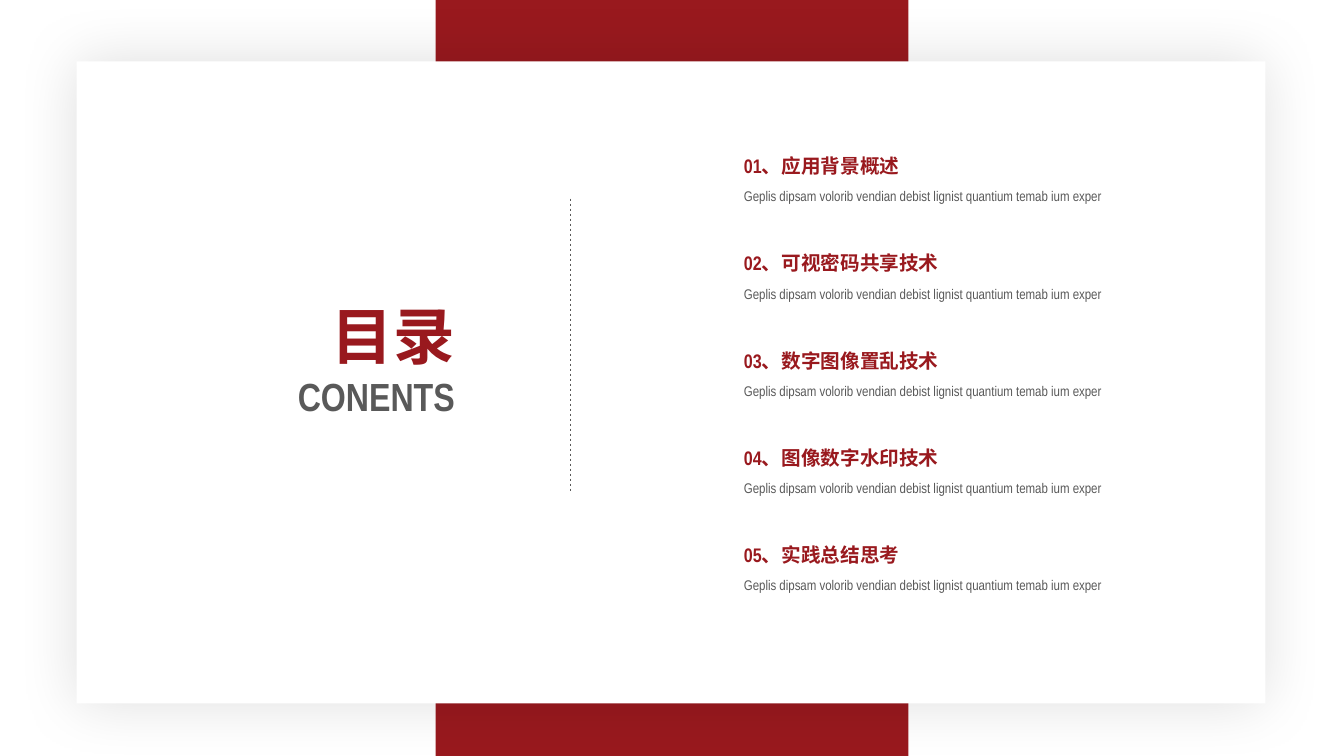
from dataclasses import dataclass

from lxml import etree
from pptx import Presentation
from pptx.dml.color import RGBColor
from pptx.enum.dml import MSO_LINE
from pptx.enum.shapes import MSO_CONNECTOR, MSO_SHAPE
from pptx.enum.text import MSO_ANCHOR, MSO_AUTO_SIZE, PP_ALIGN
from pptx.oxml import parse_xml
from pptx.oxml.ns import nsdecls, qn
from pptx.util import Inches, Pt

RED = RGBColor(0x99, 0x19, 0x1E)
GREY = RGBColor(0x59, 0x59, 0x59)
WHITE = RGBColor(0xFF, 0xFF, 0xFF)
FONT = "Arial Narrow"

RECTANGLE = MSO_SHAPE.RECTANGLE
STRAIGHT = MSO_CONNECTOR.STRAIGHT
DASH = MSO_LINE.DASH
TOP = MSO_ANCHOR.TOP
GROW = MSO_AUTO_SIZE.SHAPE_TO_FIT_TEXT
LEFT, RIGHT = PP_ALIGN.LEFT, PP_ALIGN.RIGHT

CHAPTER_LEFT = 7.28
CHAPTER_TOP = 1.48
CHAPTER_STEP = 0.965
SUMMARY_OFFSET = 0.25
SUMMARY = "Geplis dipsam volorib vendian debist lignist quantium temab ium exper"


@dataclass(frozen=True)
class Chapter:
    number: int
    name: str

    @property
    def heading(self) -> str:
        return f"{self.number:02d}、{self.name}"

    @property
    def top(self) -> float:
        return CHAPTER_TOP + (self.number - 1) * CHAPTER_STEP


CHAPTER_NAMES = (
    "应用背景概述",
    "可视密码共享技术",
    "数字图像置乱技术",
    "图像数字水印技术",
    "实践总结思考",
)
CHAPTERS = [Chapter(number, name) for number, name in enumerate(CHAPTER_NAMES, 1)]


def add_panel(page, left: float, top: float, width: float, height: float, color: RGBColor):
    panel = page.shapes.add_shape(
        RECTANGLE, Inches(left), Inches(top), Inches(width), Inches(height))
    panel.shadow.inherit = False
    panel.fill.solid()
    panel.fill.fore_color.rgb = color
    panel.line.fill.background()
    return panel


def add_soft_shadow(panel, blur: float, opacity: int) -> None:
    effects = panel._element.spPr.find(qn("a:effectLst"))
    effects.append(parse_xml(
        f'<a:outerShdw {nsdecls("a")} blurRad="{Pt(blur)}" dist="0" algn="ctr" '
        f'rotWithShape="0"><a:srgbClr val="000000"><a:alpha val="{opacity * 1000}"/>'
        '</a:srgbClr></a:outerShdw>'))


def prepare_frame(box) -> None:
    frame = box.text_frame
    frame.word_wrap = True
    frame.vertical_anchor = TOP
    frame.auto_size = GROW


def write(para, text: str, *, size: float, color: RGBColor, bold: bool = False,
          align=LEFT, spacing: float = 1.0) -> None:
    para.alignment = align
    para.line_spacing = spacing
    span = para.add_run()
    span.text = text
    span.font.name = FONT
    span.font.size = Pt(size)
    span.font.bold = bold
    span.font.color.rgb = color
    east_asian = etree.Element(qn("a:ea"), typeface=FONT)
    span.font._element.find(qn("a:latin")).addnext(east_asian)


def add_text(parent, text: str, top: float, width: float, height: float, **text_format) -> None:
    box = parent.shapes.add_textbox(
        Inches(CHAPTER_LEFT), Inches(top), Inches(width), Inches(height))
    prepare_frame(box)
    write(box.text_frame.paragraphs[0], text, **text_format)


def add_title(page) -> None:
    title = page.shapes.title
    title.left, title.top = Inches(2.34), Inches(2.91)
    title.width, title.height = Inches(2.27), Inches(1.31)
    prepare_frame(title)
    frame = title.text_frame
    write(frame.paragraphs[0], "目录", size=44, color=RED, bold=True, align=RIGHT)
    write(frame.add_paragraph(), "CONENTS", size=28, color=GREY, bold=True, align=RIGHT)
    # Bring the title in front of the white card
    page.shapes._spTree.append(title._element)


def add_divider(page) -> None:
    divider = page.shapes.add_connector(
        STRAIGHT, Inches(5.66), Inches(1.97), Inches(5.66), Inches(4.89))
    divider.line.color.rgb = GREY
    divider.line.width = Pt(0.5)
    divider.line.dash_style = DASH
    etree.SubElement(divider._element.spPr, qn("a:effectLst"))


def add_chapter(page, chapter: Chapter) -> None:
    group = page.shapes.add_group_shape()
    add_text(group, chapter.heading, chapter.top, 2.7, 0.34, size=14, color=RED, bold=True)
    add_text(group, SUMMARY, chapter.top + SUMMARY_OFFSET, 3.93, 0.32,
             size=10, color=GREY, spacing=1.5)


def main() -> None:
    deck = Presentation()
    deck.slide_width, deck.slide_height = Inches(13.33), Inches(7.5)
    page = deck.slides.add_slide(deck.slide_layouts.get_by_name("Title Only"))
    page.background.fill.solid()
    page.background.fill.fore_color.rgb = WHITE

    add_panel(page, 4.32, 0, 4.69, 7.5, RED)
    card = add_panel(page, 0.76, 0.61, 11.79, 6.37, WHITE)
    add_soft_shadow(card, blur=44, opacity=12)
    add_title(page)
    add_divider(page)
    for chapter in CHAPTERS:
        add_chapter(page, chapter)
    deck.save("out.pptx")


if __name__ == "__main__":
    main()
